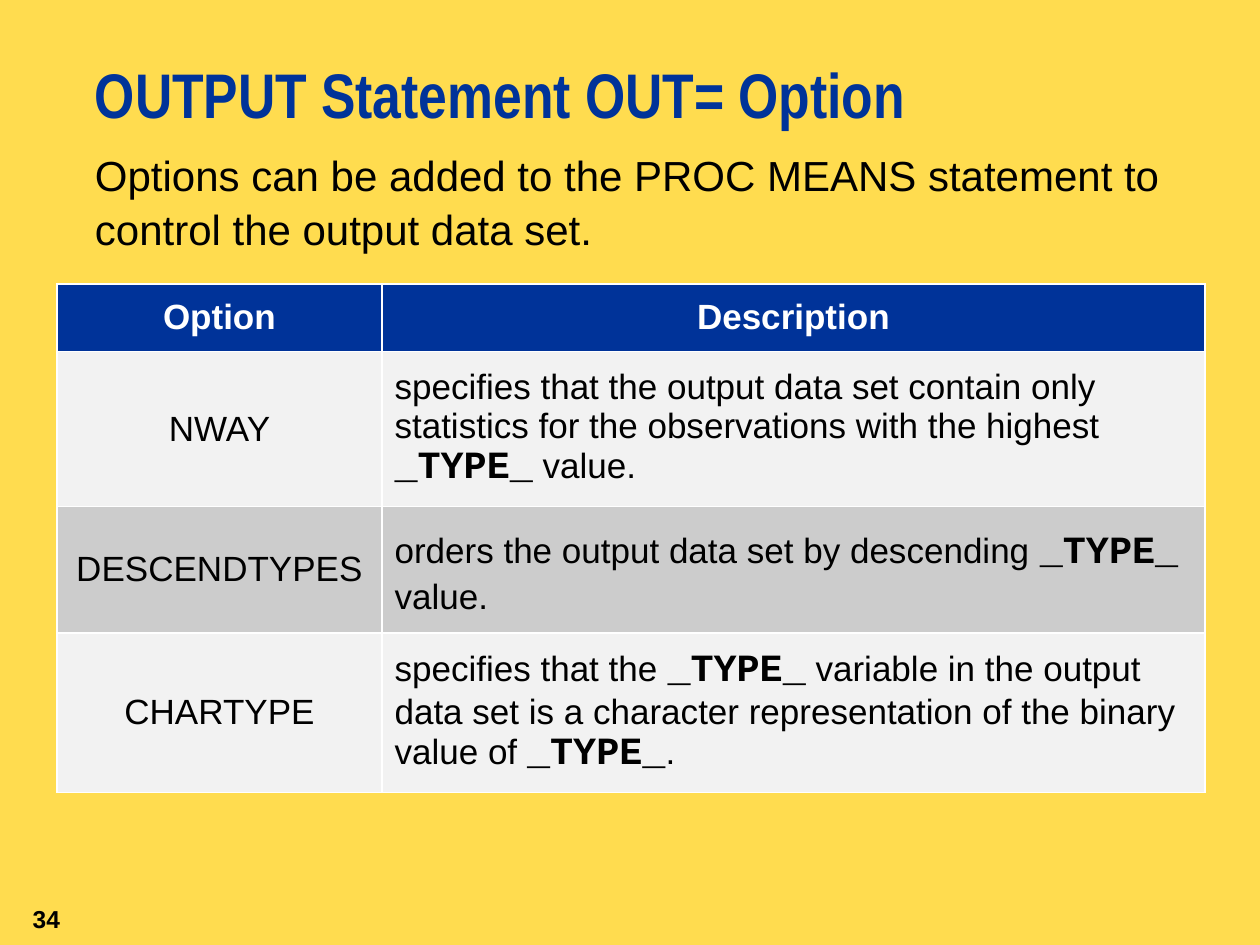
"""Build the slide on options that control the PROC MEANS output data set."""
from lxml import etree
from pptx import Presentation
from pptx import util as u
from pptx.dml.color import RGBColor
from pptx.enum import text
from pptx.oxml import ns

PX = 914400 / 126
YELLOW = RGBColor(0xFF, 0xDC, 0x4F)
BLUE = RGBColor(0x00, 0x33, 0x99)
BLACK = RGBColor(0, 0, 0)
WHITE = RGBColor(0xFF, 0xFF, 0xFF)
LIGHT = RGBColor(0xF2, 0xF2, 0xF2)
GRAY = RGBColor(0xCC, 0xCC, 0xCC)
LEFT, CENTER, RIGHT = text.PP_ALIGN.LEFT, text.PP_ALIGN.CENTER, text.PP_ALIGN.RIGHT
TOP, MIDDLE = text.MSO_ANCHOR.TOP, text.MSO_ANCHOR.MIDDLE


def add_run(paragraph, words, size, color, bold=False, font="Arial"):
    run = paragraph.add_run()
    run.text = words
    run.font.name = font
    run.font.size = u.Pt(size)
    run.font.bold = bold
    run.font.color.rgb = color


def add_text_box(slide, box, anchor, align, margin):
    shape = slide.shapes.add_textbox(*[int(value * PX) for value in box])
    frame = shape.text_frame
    frame.word_wrap = True
    frame.vertical_anchor = anchor
    frame.margin_left = frame.margin_right = int(margin * PX)
    frame.margin_top = frame.margin_bottom = 0
    frame.paragraphs[0].alignment = align
    return frame.paragraphs[0]


presentation = Presentation()
presentation.slide_width = int(1260 * PX)
presentation.slide_height = int(945 * PX)
slide = presentation.slides.add_slide(presentation.slide_layouts[6])
slide.background.fill.solid()
slide.background.fill.fore_color.rgb = YELLOW

title = add_text_box(slide, (95, 63, 1165, 95), TOP, LEFT, 0)
title.line_spacing = u.Pt(39)
add_run(title, "OUTPUT Statement OUT= Option", 36, BLUE, True, "Arial Narrow")

body = add_text_box(slide, (95, 147, 1070, 120), TOP, LEFT, 0)
body.line_spacing = 1.06
add_run(body, "Options can be added to the PROC MEANS statement to control the output data set.", 24, BLACK)

number = add_text_box(slide, (0, 892, 73, 53), MIDDLE, RIGHT, 13)
add_run(number, "34", 14, BLACK, True)

TYPE = "_TYPE_"
rows = [
    (63, BLUE, ["Option"], ["Description"]),
    (147, LIGHT, ["NWAY"],
     ["specifies that the output data set contain only statistics for the observations with the highest ",
      TYPE, " value."]),
    (120, GRAY, ["DESCENDTYPES"],
     ["orders the output data set by descending ", TYPE, " ", "value."]),
    (151, LIGHT, ["CHARTYPE"],
     ["specifies that the ", TYPE,
      " variable in the output data set is a character representation of the binary value of ",
      TYPE, "."]),
]
column_widths = (325, 823)
total_height = sum(row[0] for row in rows)
frame = slide.shapes.add_table(len(rows), 2, int(57 * PX), int(284 * PX),
                               int(sum(column_widths) * PX), int(total_height * PX))
table = frame.table
for column, width in zip(table.columns, column_widths):
    column.width = int(width * PX)

for row_index, (height, fill, *contents) in enumerate(rows):
    table.rows[row_index].height = int(height * PX)
    header = row_index == 0
    for column_index, pieces in enumerate(contents):
        cell = table.cell(row_index, column_index)
        cell.vertical_anchor = MIDDLE
        cell.margin_left = cell.margin_right = u.Inches(0.1)
        cell.margin_top = cell.margin_bottom = u.Inches(0.1)
        properties = cell._tc.get_or_add_tcPr()
        for side in ("a:lnL", "a:lnR", "a:lnT", "a:lnB"):
            line = etree.SubElement(properties, ns.qn(side), w=str(u.Pt(1)))
            solid = etree.SubElement(line, ns.qn("a:solidFill"))
            etree.SubElement(solid, ns.qn("a:srgbClr"), val=str(WHITE))
        cell.fill.solid()
        cell.fill.fore_color.rgb = fill
        paragraph = cell.text_frame.paragraphs[0]
        paragraph.alignment = CENTER if header or column_index == 0 else LEFT
        for piece in pieces:
            if piece == TYPE:
                add_run(paragraph, piece, 22, BLACK, True, "Courier New")
            elif piece == " ":
                add_run(paragraph, piece, 28, BLACK, True, "Courier New")
            else:
                add_run(paragraph, piece, 20, WHITE if header else BLACK, header)

presentation.save("out.pptx")
